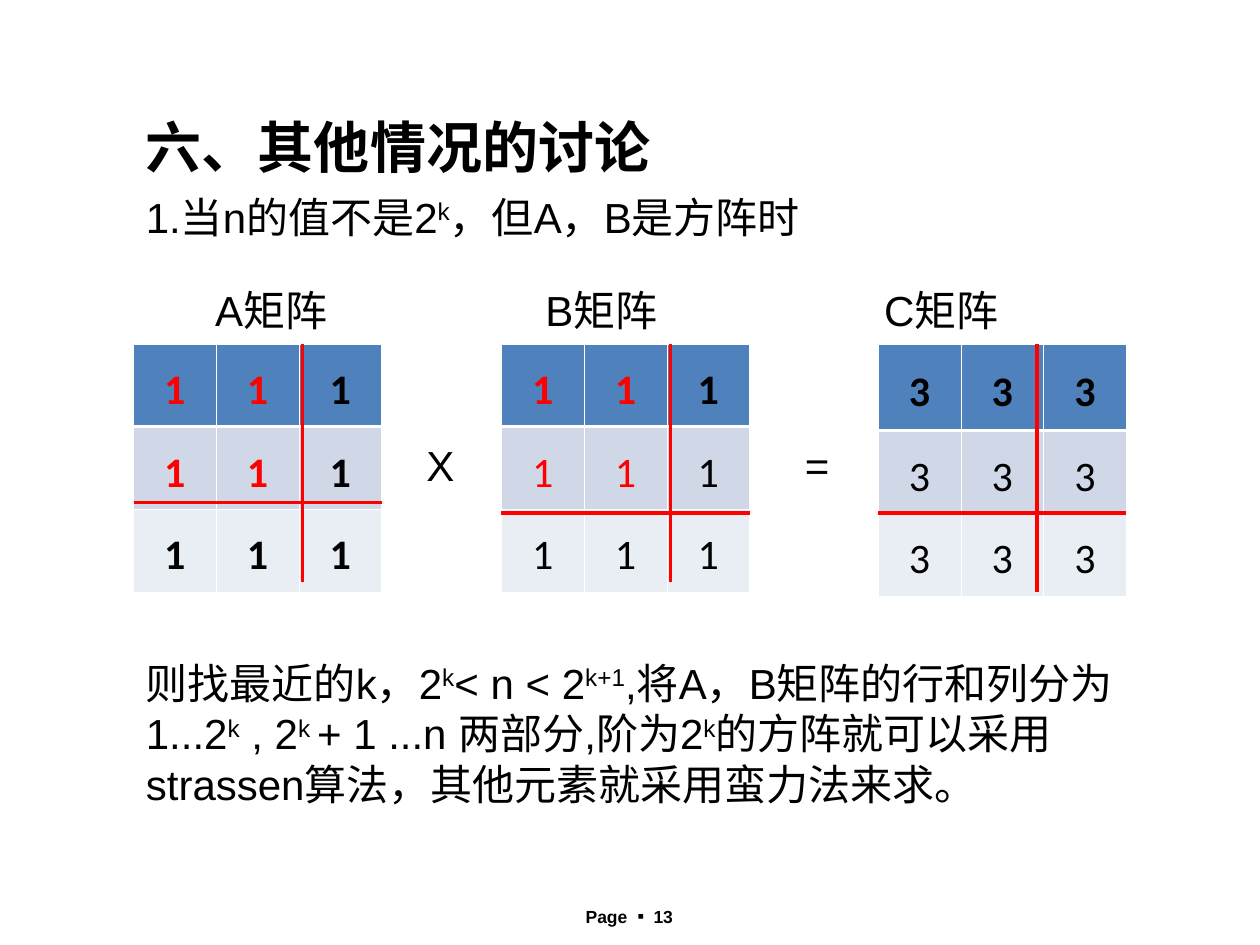
from dataclasses import dataclass

from lxml import etree
from pptx import Presentation
from pptx.dml.color import RGBColor
from pptx.enum.shapes import MSO_CONNECTOR
from pptx.enum.text import MSO_ANCHOR, PP_ALIGN
from pptx.oxml.ns import qn
from pptx.util import Inches, Pt

LEFT, MID = PP_ALIGN.LEFT, PP_ALIGN.CENTER
CENTRE = MSO_ANCHOR.MIDDLE
LINE = MSO_CONNECTOR.STRAIGHT
BLACK, RED, WHITE = "000000", "FF0000", "FFFFFF"
BANDS = ("4F81BD", "D0D8E8", "E9EDF4")
THIN, THICK = 0.45, 1.47
SIDE, TOP, CELL = 19.7, 36.4, 8.75

deck = Presentation()
deck.slide_width, deck.slide_height = Inches(10), Inches(7.5)
slide = deck.slides.add_slide(deck.slide_layouts[6])


@dataclass
class Box:
    left: float
    top: float
    width: float
    height: float


@dataclass
class Label:
    box: Box
    text: str
    size: int = 24
    bold: bool = False
    align: int = LEFT


@dataclass
class Matrix:
    left: float
    digit: str
    head: float
    bold_rows: int
    red: int
    row_cut: float
    col_cut: float
    cut_end: float


def hue(code: str) -> RGBColor:
    return RGBColor.from_string(code)


def across(share: float) -> int:
    return round(deck.slide_width * share / 100)


def down(share: float) -> int:
    return round(deck.slide_height * share / 100)


def place(box: Box) -> tuple:
    return across(box.left), down(box.top), across(box.width), down(box.height)


def write(para, text: str, *, size=24, font="Arial", color=BLACK, bold=False, align=LEFT):
    para.alignment = align
    for index, part in enumerate(text.split("|")):
        run = para.add_run()
        run.text = part
        run.font.size, run.font.name, run.font.bold = Pt(size), font, bold
        run.font.color.rgb = hue(color)
        if index % 2:
            run.font._element.set("baseline", "30000")


def add_text(box: Box):
    frame = slide.shapes.add_textbox(*place(box)).text_frame
    frame.word_wrap = True
    return frame.paragraphs[0]


def add_rule(x1: float, y1: float, x2: float, y2: float) -> None:
    rule = slide.shapes.add_connector(LINE, across(x1), down(y1), across(x2), down(y2))
    rule.line.color.rgb, rule.line.width = hue(RED), Pt(2)
    etree.SubElement(rule._element.spPr, qn("a:effectLst"))


def add_edges(cell, row: int) -> None:
    props = cell._tc.get_or_add_tcPr()
    widths = {"lnL": THIN, "lnR": THIN,
              "lnT": THICK if row == 1 else THIN,
              "lnB": THICK if row == 0 else THIN}
    for tag, width in widths.items():
        edge = etree.SubElement(props, qn(f"a:{tag}"), w=str(Pt(width)))
        fill = etree.SubElement(edge, qn("a:solidFill"))
        etree.SubElement(fill, qn("a:srgbClr"), val=WHITE)


def add_grid(item: Matrix) -> None:
    box = Box(item.left, TOP, SIDE, item.head + 2 * CELL)
    table = slide.shapes.add_table(3, 3, *place(box)).table
    for row, band in enumerate(BANDS):
        table.rows[row].height = down(CELL if row else item.head)
        for col in range(3):
            table.columns[col].width = across(SIDE / 3)
            cell = table.cell(row, col)
            add_edges(cell, row)
            cell.fill.solid()
            cell.fill.fore_color.rgb = hue(band)
            cell.vertical_anchor = CENTRE
            para = cell.text_frame.paragraphs[0]
            para.line_spacing, para.space_before = 1.2, Pt(6)
            write(para, item.digit, font="Calibri", align=MID,
                  color=RED if max(row, col) < item.red else BLACK,
                  bold=row < item.bold_rows)


def add_cuts(item: Matrix) -> None:
    add_rule(item.left, item.row_cut, item.left + SIDE, item.row_cut)
    add_rule(item.col_cut, TOP, item.col_cut, item.cut_end)


def add_names() -> None:
    para = add_text(Box(16.1, 28, 72.6, 8.53))
    stops = etree.SubElement(para._p.get_or_add_pPr(), qn("a:tabLst"))
    for stop in (26.2, 53.1):
        etree.SubElement(stops, qn("a:tab"), pos=str(across(stop)), algn="l")
    for text, size in (("A矩阵", 24), ("\t", 32), ("B矩阵", 24), ("\t", 32), ("C矩阵", 24)):
        write(para, text, size=size)


def add_foot() -> None:
    para = add_text(Box(42.1, 95.2, 15.7, 2.93))
    for text, font in (("Page ", "Arial"), ("▪ ", "Noto Sans CJK JP"), ("13", "Arial")):
        write(para, text, size=10, font=font, bold=True, align=MID)


LABELS = (
    Label(Box(10.6, 11.2, 45.9, 7.73), "六、其他情况的讨论", size=32, bold=True),
    Label(Box(10.6, 19.6, 56.7, 12), "1.当n的值不是2|k|，但A，B是方阵时"),
    Label(Box(31.9, 45.87, 6.1, 6.67), "X", align=MID),
    Label(Box(61.8, 45.87, 6.1, 6.67), "=", align=MID),
    Label(Box(10.6, 68.93, 80.3, 17.33),
          "则找最近的k，2|k|< n < 2|k+1|,将A，B矩阵的行和列分为1...2|k| , 2|k |"
          "+ 1 ...n 两部分,阶为2|k|的方阵就可以采用strassen算法，其他元素就采用蛮力法来求。"),
)
GRIDS = (
    Matrix(10.6, "1", CELL, 3, 2, 53.2, 24, 61.6),
    Matrix(39.8, "1", CELL, 1, 2, 54.27, 53.2, 61.6),
    Matrix(69.7, "3", 9.17, 1, 0, 54.27, 82.3, 62.67),
)

for item in GRIDS:
    add_grid(item)
    add_cuts(item)
for label in LABELS:
    write(add_text(label.box), label.text, size=label.size, bold=label.bold, align=label.align)
add_names()
add_foot()
deck.save("out.pptx")
